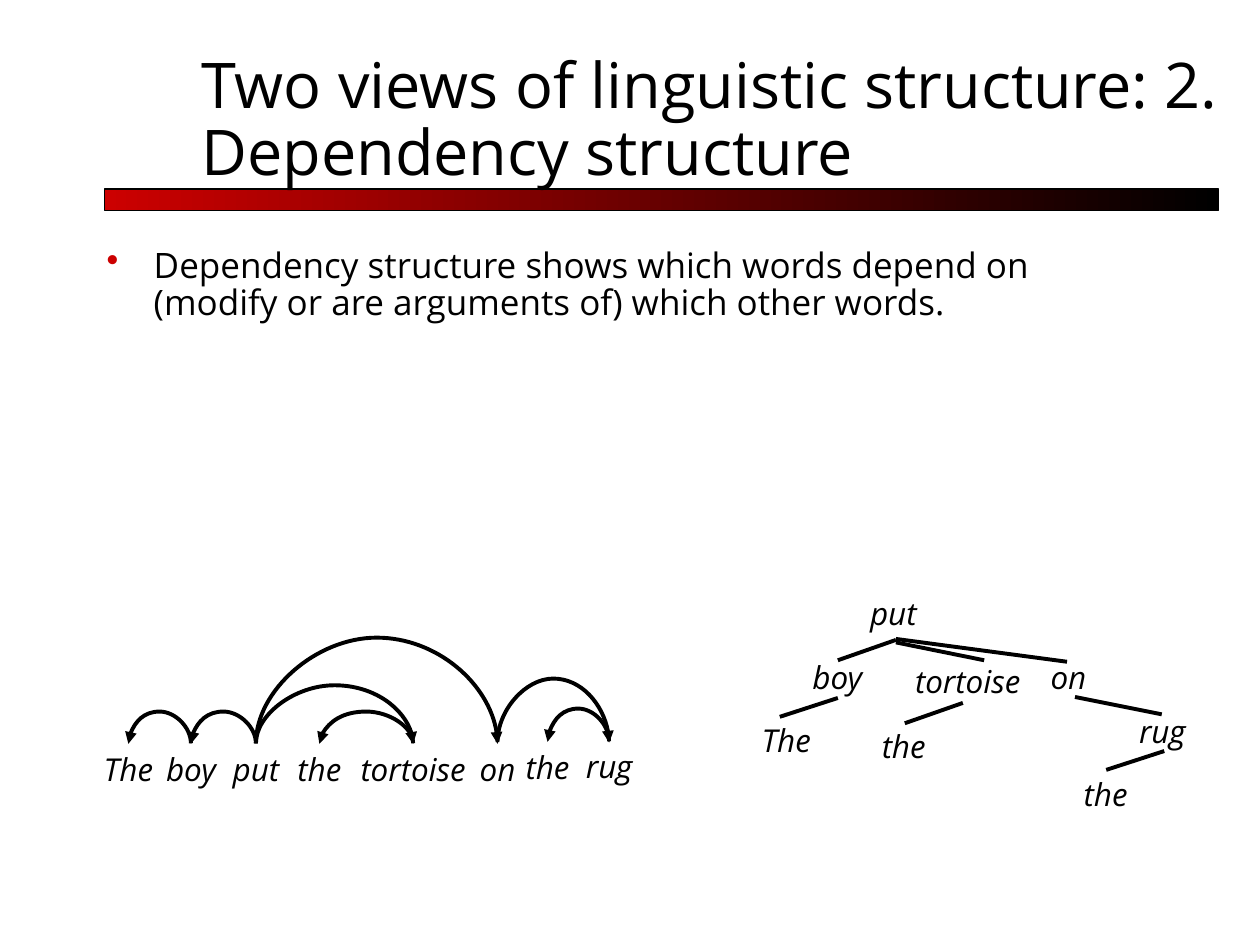
from lxml import etree
from pptx import Presentation
from pptx.dml.color import RGBColor
from pptx.enum.shapes import MSO_CONNECTOR, MSO_SHAPE
from pptx.enum.text import MSO_ANCHOR, PP_ALIGN
from pptx.oxml.ns import qn
from pptx.util import Cm, Pt

RECT = MSO_SHAPE.RECTANGLE
STRAIGHT, CURVE = MSO_CONNECTOR.STRAIGHT, MSO_CONNECTOR.CURVE
TOP, MIDDLE, BOTTOM = MSO_ANCHOR.TOP, MSO_ANCHOR.MIDDLE, MSO_ANCHOR.BOTTOM
LEFT, CENTER = PP_ALIGN.LEFT, PP_ALIGN.CENTER

COLORS = {"ink": "000000", "accent": "CC0000"}
WIDTHS = {"The": 1.63, "boy": 1.6, "put": 1.52, "the": 1.5,
          "tortoise": 2.84, "on": 1.27, "rug": 1.6}
WORD_HEIGHT = 1.02

# word, centre, top
SENTENCE = [("The", 2.59, 14.99), ("boy", 3.85, 14.99), ("put", 5.16, 14.99),
            ("the", 6.44, 14.99), ("tortoise", 8.33, 14.99),
            ("on", 10.03, 14.99), ("the", 11.04, 14.96), ("rug", 12.28, 14.94)]
# head index, dependent index, height of the arc
ARCS = [(1, 0, 0.64), (2, 1, 0.64), (2, 4, 1.17), (2, 5, 2.13),
        (5, 7, 1.28), (7, 6, 0.66), (4, 3, 0.64)]
TREE = [("put", 18.01, 11.84), ("boy", 16.88, 13.13), ("tortoise", 19.51, 13.21),
        ("on", 21.54, 13.13), ("The", 15.85, 14.4), ("the", 18.22, 14.53),
        ("rug", 23.43, 14.22), ("the", 22.29, 15.49)]
BRANCHES = [(18.06, 12.9, 16.89, 13.31), (18.06, 12.95, 19.84, 13.31),
            (18.06, 12.88, 21.51, 13.34), (16.89, 14.07, 15.72, 14.45),
            (19.41, 14.17, 18.24, 14.58), (21.67, 14.05, 23.42, 14.4),
            (23.47, 15.14, 22.3, 15.52)]


class Deck:
    """Draws styled elements on the current slide."""

    def __init__(self, slide, font="Open Sans", line_width=2.25):
        self.s, self.font, self.line_width = slide, font, line_width

    def color(self, name):
        return RGBColor.from_string(COLORS[name])

    def text(self, text, x, y, w, h, size, anchor=TOP, align=LEFT,
             italic=False, wrap=True, spacing=None):
        sp = self.s.shapes.add_textbox(Cm(x), Cm(y), Cm(w), Cm(h))
        tf = sp.text_frame
        tf.text, tf.word_wrap, tf.vertical_anchor = text, wrap, anchor
        p = tf.paragraphs[0]
        p.alignment, p.line_spacing = align, spacing
        f = p.runs[0].font
        f.name, f.size, f.italic = self.font, Pt(size), italic
        f.color.rgb = self.color("ink")
        return tf

    def title(self, text):
        tf = self.text(text, 3.81, 1.07, 21.59, 2.74, 36, BOTTOM, spacing=0.89)
        tf.margin_bottom = 0

    def bullet(self, text):
        tf = self.text(text, 1.9, 4.88, 21.06, 12.5, 20, spacing=0.89)
        p = tf.paragraphs[0]
        p.space_before = Pt(4)
        pPr = p._p.get_or_add_pPr()
        pPr.set("marL", str(Cm(0.95)))
        pPr.set("indent", str(-Cm(0.95)))
        clr = etree.SubElement(pPr, qn("a:buClr"))
        etree.SubElement(clr, qn("a:srgbClr"), val=COLORS["accent"])
        etree.SubElement(pPr, qn("a:buChar"), char="•")

    def word(self, text, center, top):
        w = WIDTHS[text]
        self.text(text, center - w / 2, top, w, WORD_HEIGHT, 18, MIDDLE,
                  CENTER, italic=True, wrap=False)

    def bar(self, x, y, w, h):
        sp = self.s.shapes.add_shape(RECT, Cm(x), Cm(y), Cm(w), Cm(h))
        sp.shadow.inherit = False
        sp.fill.gradient()
        sp.fill.gradient_angle = 0
        for stop, name in zip(sp.fill.gradient_stops, ("accent", "ink")):
            stop.color.rgb = self.color(name)
        sp.line.color.rgb = self.color("ink")
        sp.line.width = Pt(0.75)

    def line(self, x1, y1, x2, y2, kind=STRAIGHT):
        c = self.s.shapes.add_connector(kind, Cm(x1), Cm(y1), Cm(x2), Cm(y2))
        c.line.color.rgb = self.color("ink")
        c.line.width = Pt(self.line_width)
        etree.SubElement(c._element.spPr, qn("a:effectLst"))
        return c

    def arc(self, x1, x2, y, rise):
        span, depth, mid = abs(x2 - x1), 0.01, (x1 + x2) / 2
        c = self.line(mid - depth / 2, y - span / 2,
                      mid + depth / 2, y + span / 2, CURVE)
        spPr = c._element.spPr
        xfrm = spPr.find(qn("a:xfrm"))
        xfrm.set("flipV", "1")
        if x2 < x1:
            xfrm.set("flipH", "1")
        c.rotation = 90 if x2 > x1 else 270
        geom = spPr.find(qn("a:prstGeom"))
        guides = geom.find(qn("a:avLst"))
        etree.SubElement(guides, qn("a:gd"), name="adj1",
                         fmla=f"val {round(-rise / depth * 100000)}")
        etree.SubElement(spPr.find(qn("a:ln")), qn("a:tailEnd"), type="triangle")


def main():
    prs = Presentation()
    prs.slide_width, prs.slide_height = Cm(25.4), Cm(19.05)
    deck = Deck(prs.slides.add_slide(prs.slide_layouts[6]))
    deck.bar(2.11, 3.81, 22.45, 0.43)
    deck.title("Two views of linguistic structure: 2. Dependency structure")
    deck.bullet("Dependency structure shows which words depend on "
                "(modify or are arguments of) which other words.")
    for word in SENTENCE + TREE:
        deck.word(*word)
    for head, dependent, rise in ARCS:
        _, x1, y1 = SENTENCE[head]
        _, x2, y2 = SENTENCE[dependent]
        deck.arc(x1, x2, (y1 + y2) / 2, rise)
    for branch in BRANCHES:
        deck.line(*branch)
    prs.save("out.pptx")


if __name__ == "__main__":
    main()
